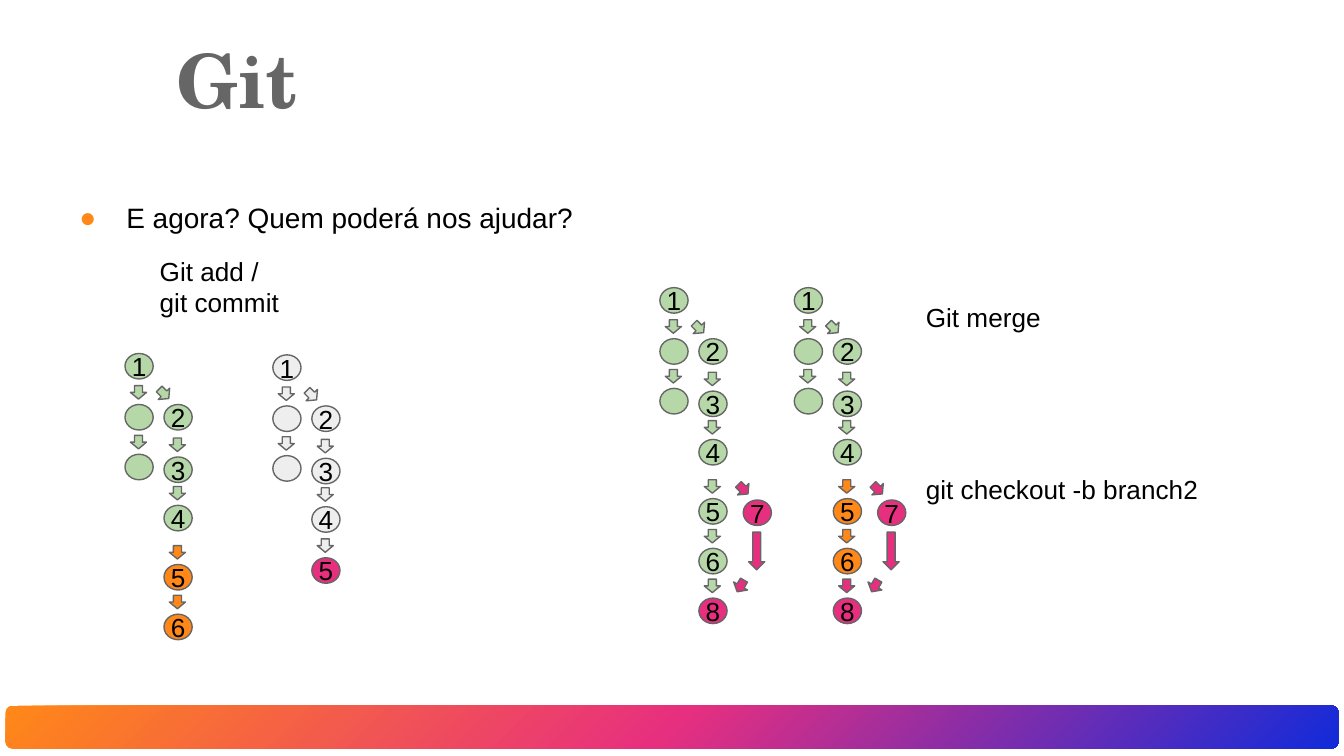
from dataclasses import dataclass

from lxml import etree
from pptx import Presentation
from pptx.dml.color import RGBColor
from pptx.enum.shapes import MSO_SHAPE
from pptx.enum.text import MSO_ANCHOR, MSO_AUTO_SIZE, PP_ALIGN
from pptx.oxml import parse_xml
from pptx.oxml.ns import nsdecls, qn
from pptx.util import Inches, Pt

CIRCLE, ARROW, BAR = MSO_SHAPE.OVAL, MSO_SHAPE.RIGHT_ARROW, MSO_SHAPE.ROUNDED_RECTANGLE
LEFT, CENTER = PP_ALIGN.LEFT, PP_ALIGN.CENTER
TOP, MIDDLE = MSO_ANCHOR.TOP, MSO_ANCHOR.MIDDLE
NO_FIT, GROW = MSO_AUTO_SIZE.NONE, MSO_AUTO_SIZE.SHAPE_TO_FIT_TEXT


@dataclass(frozen=True)
class Theme:
    text: str = "000000"
    grey: str = "666666"
    light: str = "EEEEEE"
    green: str = "B6D7A8"
    orange: str = "FF8818"
    pink: str = "E72F7F"
    blue: str = "112BDA"
    title_font: str = "TeX Gyre Schola"
    body_font: str = "Arial"
    title_size: int = 40
    body_size: int = 15
    label_size: int = 14
    line: float = 0.75


T = Theme()

# Commit grid, in inches from the top left of each graph
COLS = (0, 0.29, 0.62)
STEM_ROWS = (0, 0.38, 0.75)
BRANCH_ROWS = (0.38, 0.77, 1.13)
TAIL_STEP = 0.37
NODE = (0.21, 0.19)
SHORT, LONG, THICK = 0.1, 0.28, 0.12


def box(x, y, w, h):
    return Inches(x), Inches(y), Inches(w), Inches(h)


def style_text(tf, size, font=T.body_font, color=T.text, bold=False, align=LEFT):
    for p in tf.paragraphs:
        p.alignment = align
        for r in p.runs:
            r.font.size, r.font.name, r.font.bold = Pt(size), font, bold
            r.font.color.rgb = RGBColor.from_string(color)


def set_margins(tf, left, top, right, bottom):
    tf.margin_left, tf.margin_top = Inches(left), Inches(top)
    tf.margin_right, tf.margin_bottom = Inches(right), Inches(bottom)


def add_outlined(s, kind, area, fill):
    sp = s.shapes.add_shape(kind, *box(*area))
    sp.shadow.inherit = False
    sp.fill.solid()
    sp.fill.fore_color.rgb = RGBColor.from_string(fill)
    sp.line.color.rgb = RGBColor.from_string(T.grey)
    sp.line.width = Pt(T.line)
    return sp


def add_commit(s, x, y, fill, label=""):
    sp = add_outlined(s, CIRCLE, (x, y, *NODE), fill)
    if label:
        tf = sp.text_frame
        tf.text = label
        tf.word_wrap = False
        tf.vertical_anchor = MIDDLE
        set_margins(tf, 0, 0, 0, 0)
        style_text(tf, T.label_size, align=CENTER)


def add_arrow(s, x, y, fill, angle=90, length=SHORT):
    sp = add_outlined(s, ARROW, (x, y, length, THICK), fill)
    sp.rotation = angle


def add_step(s, x, y, fill, arrow_fill, label=""):
    """A commit with the arrow that leads down to it."""
    add_arrow(s, x + 0.05, y - 0.15, arrow_fill)
    add_commit(s, x, y, fill, label)


def add_fork(s, x, y, fill, label):
    """A commit with the slanted arrow that branches off to it."""
    add_arrow(s, x - 0.05, y - 0.14, fill, angle=45)
    add_commit(s, x, y, fill, label)


def add_graph(s, x, y, base, tail, tail_top):
    """Stem and branch in the base colour, then tail steps of (label, fill, arrow fill)."""
    branch_x = x + COLS[1]
    add_commit(s, x, y, base, "1")
    for row in STEM_ROWS[1:]:
        add_step(s, x, y + row, base, base)
    add_fork(s, branch_x, y + BRANCH_ROWS[0], base, "2")
    for label, row in zip("34", BRANCH_ROWS[1:]):
        add_step(s, branch_x, y + row, base, base, label)
    for i, (label, fill, arrow_fill) in enumerate(tail):
        add_step(s, branch_x, y + tail_top + i * TAIL_STEP, fill, arrow_fill, label)


def add_merged_graph(s, x, y, middle, last_arrow):
    """A graph whose commit 7 branches off and is merged into commit 8."""
    tail = [("5", middle, middle), ("6", middle, middle), ("8", T.pink, last_arrow)]
    add_graph(s, x, y, T.green, tail, 1.57)
    side_x, side_y = x + COLS[2], y + 1.58
    add_fork(s, side_x, side_y, T.pink, "7")
    add_arrow(s, side_x - 0.04, side_y + 0.32, T.pink, length=LONG)
    add_arrow(s, side_x - 0.07, side_y + 0.58, T.pink, angle=120.4)


def add_label(s, area, text):
    tf = s.shapes.add_textbox(*box(*area)).text_frame
    tf.text = text
    tf.word_wrap = True
    tf.auto_size = GROW
    set_margins(tf, 0.1, 0.1, 0.1, 0.1)
    style_text(tf, T.label_size)


def fill_placeholder(ph, area, text, anchor, top_margin):
    ph.left, ph.top, ph.width, ph.height = box(*area)
    tf = ph.text_frame
    tf.text = text
    tf.word_wrap = True
    tf.auto_size = NO_FIT
    tf.vertical_anchor = anchor
    set_margins(tf, 0.1, top_margin, 0.1, 0.1)
    return tf


def add_title(s, area):
    tf = fill_placeholder(s.shapes.title, area, "Git", MIDDLE, 0.1)
    style_text(tf, T.title_size, T.title_font, T.grey, bold=True)


def add_body(s, area):
    text = "E agora? Quem poderá nos ajudar?"
    tf = fill_placeholder(s.placeholders[1], area, text, TOP, 0.43)
    style_text(tf, T.body_size)
    p = tf.paragraphs[0]
    p.line_spacing, p.space_before = 1.5, Pt(0)
    pPr = p._p.get_or_add_pPr()
    pPr.set("marL", str(Inches(0.5)))
    pPr.set("indent", str(Inches(-0.35)))
    color = etree.SubElement(pPr, qn("a:buClr"))
    etree.SubElement(color, qn("a:srgbClr"), val=T.orange)
    etree.SubElement(pPr, qn("a:buFont"), typeface=T.body_font)
    etree.SubElement(pPr, qn("a:buChar"), char="●")


def add_footer_bar(s, area):
    sp = s.shapes.add_shape(BAR, *box(*area))
    sp.shadow.inherit = False
    sp.line.fill.background()
    sp.fill.background()
    stops = "".join(
        f'<a:gs pos="{pos}000"><a:srgbClr val="{color}"/></a:gs>'
        for pos, color in ((0, T.orange), (50, T.pink), (100, T.blue)))
    gradient = parse_xml(f'<a:gradFill {nsdecls("a")}><a:gsLst>{stops}</a:gsLst>'
                         '<a:lin ang="2700000" scaled="0"/></a:gradFill>')
    spPr = sp._element.spPr
    spPr.replace(spPr.find(qn("a:noFill")), gradient)


def main():
    prs = Presentation()
    prs.slide_width = Inches(10)
    prs.slide_height = prs.slide_width * 9 // 16
    s = prs.slides.add_slide(prs.slide_layouts[1])

    add_footer_bar(s, (0.04, 5.25, 9.92, 0.32))
    add_title(s, (1.21, 0.23, 7.61, 0.71))
    add_body(s, (0.34, 0.94, 9.33, 4.24))

    add_graph(s, 0.93, 2.63, T.green,
              [(label, T.orange, T.orange) for label in "56"], 1.57)
    add_graph(s, 2.03, 2.64, T.light, [("5", T.pink, T.light)], 1.51)
    add_merged_graph(s, 4.91, 2.14, T.green, T.green)
    add_merged_graph(s, 5.91, 2.14, T.orange, T.pink)

    add_label(s, (1.09, 1.8, 1.13, 0.67), "Git add / git commit")
    add_label(s, (6.79, 2.14, 1.13, 0.44), "Git merge")
    add_label(s, (6.79, 3.42, 2.65, 0.44), "git checkout -b branch2")
    prs.save("out.pptx")


if __name__ == "__main__":
    main()
